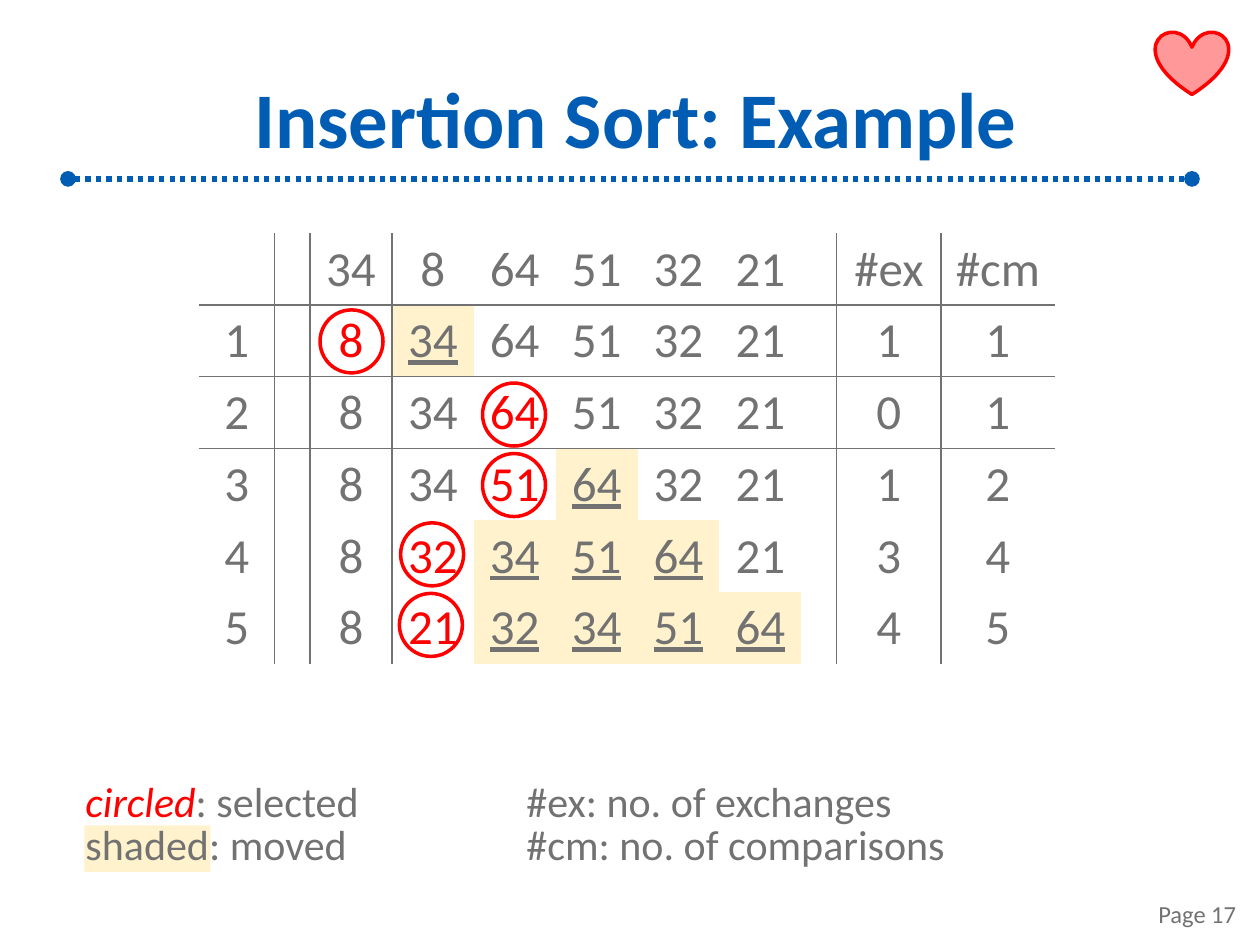
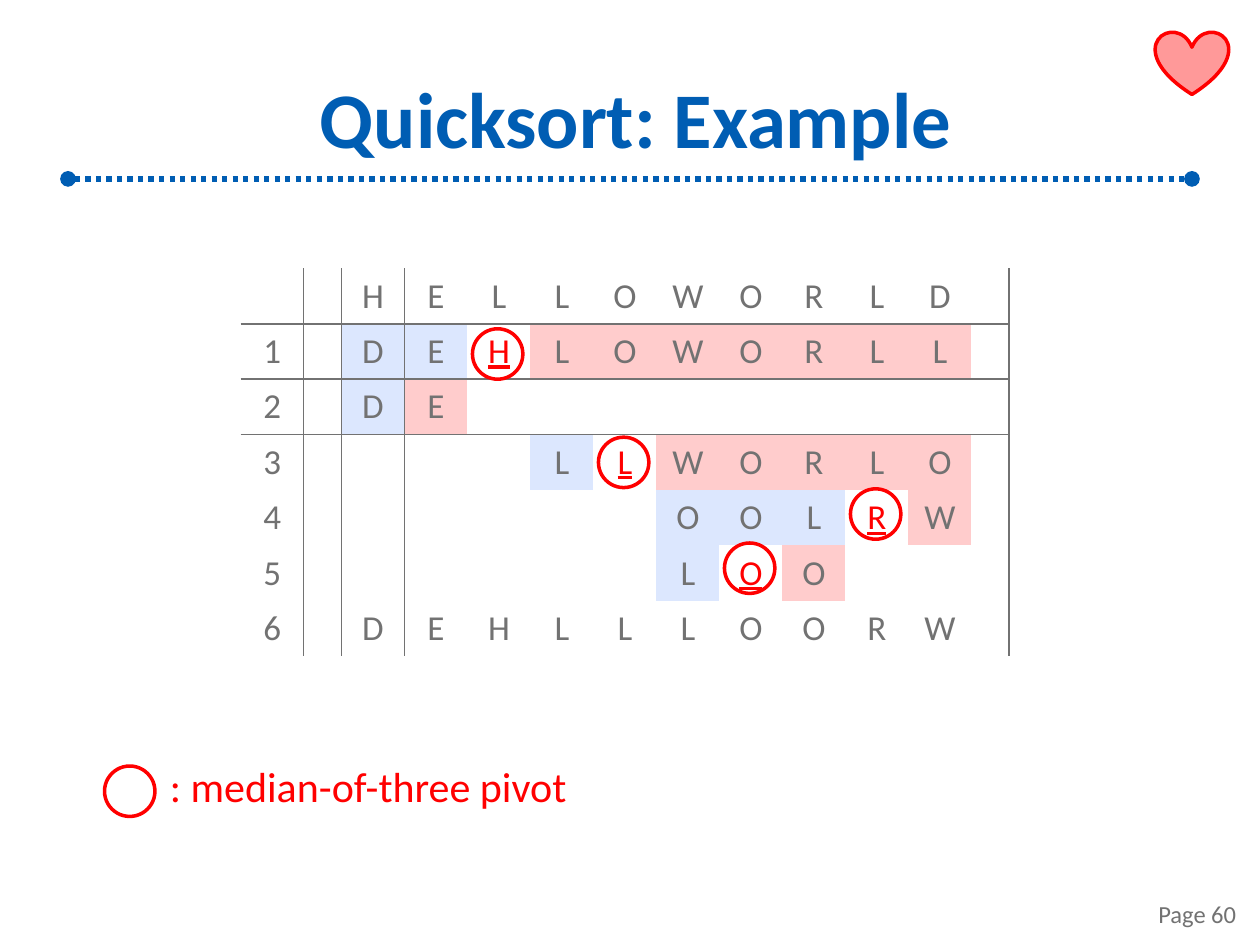
from lxml import etree
from pptx import Presentation
from pptx.dml.color import RGBColor
from pptx.enum.dml import MSO_LINE
from pptx.enum.shapes import MSO_CONNECTOR, MSO_SHAPE
from pptx.enum.text import MSO_ANCHOR, PP_ALIGN
from pptx.oxml.ns import qn
from pptx.util import Inches, Pt

# Shared look
FONT = "Calibri"
BLUE, GRAY, RED = "005DB3", "727272", "FF0000"
HEART_PINK, CREAM, PALE_BLUE, PALE_RED = "FF9999", "FFF2CC", "DCE7FE", "FFCCCC"
NO_TABLE_STYLE = "{2D5ABB26-0587-4C30-8999-92F81FD0307C}"

LEFT, CENTER, RIGHT = PP_ALIGN.LEFT, PP_ALIGN.CENTER, PP_ALIGN.RIGHT
TOP, MIDDLE, BOTTOM = MSO_ANCHOR.TOP, MSO_ANCHOR.MIDDLE, MSO_ANCHOR.BOTTOM
DOTTED = MSO_LINE.ROUND_DOT
STRAIGHT = MSO_CONNECTOR.STRAIGHT
RECTANGLE, OVAL, HEART = MSO_SHAPE.RECTANGLE, MSO_SHAPE.OVAL, MSO_SHAPE.HEART

# Cell marks: first character of a cell -> fill, text colour, underline
INSERTION_MARKS = {"*": (None, RED, False), "+": (CREAM, GRAY, True)}
QUICKSORT_MARKS = {
    "*": (None, RED, True),
    "<": (PALE_BLUE, GRAY, False),
    ">": (PALE_RED, GRAY, False),
}
PLAIN = (None, GRAY, False)
EMPTY = "."

INSERTION_STEPS = [
    ". . 34 8 64 51 32 21 . #ex #cm",
    "1 . *8 +34 64 51 32 21 . 1 1",
    "2 . 8 34 *64 51 32 21 . 0 1",
    "3 . 8 34 *51 +64 32 21 . 1 2",
    "4 . 8 *32 +34 +51 +64 21 . 3 4",
    "5 . 8 *21 +32 +34 +51 +64 . 4 5",
]
QUICKSORT_STEPS = [
    ". . H E L L O W O R L D .",
    "1 . <D <E *H >L >O >W >O >R >L >L .",
    "2 . <D >E . . . . . . . . .",
    "3 . . . . <L *L >W >O >R >L >O .",
    "4 . . . . . . <O <O <L *R >W .",
    "5 . . . . . . <L *O >O . . .",
    "6 . D E H L L L O O R W .",
]


def color(hex_code):
    return RGBColor.from_string(hex_code)


def style_font(font, size, hex_code, bold=False, underline=False):
    font.name = FONT
    font.size = Pt(size)
    font.color.rgb = color(hex_code)
    font.bold = bold
    font.underline = underline


def add_text(slide, box, text, size, hex_code, align=LEFT, anchor=TOP,
             bold=False, wrap=True):
    shape = slide.shapes.add_textbox(*map(Inches, box))
    frame = shape.text_frame
    frame.word_wrap = wrap
    frame.vertical_anchor = anchor
    paragraph = frame.paragraphs[0]
    paragraph.text = text
    paragraph.alignment = align
    style_font(paragraph.font, size, hex_code, bold)
    return paragraph


def add_legend(slide, box, text, hex_code=GRAY):
    paragraph = add_text(slide, box, text, 24, hex_code, wrap=False)
    paragraph.line_spacing = 0.85
    return paragraph


def add_preset(slide, preset, box, fill=None, line=None):
    shape = slide.shapes.add_shape(preset, *map(Inches, box))
    shape.shadow.inherit = False
    if fill:
        shape.fill.solid()
        shape.fill.fore_color.rgb = color(fill)
    else:
        shape.fill.background()
    if line:
        shape.line.color.rgb = color(line)
        shape.line.width = Pt(2)
    else:
        shape.line.fill.background()


def add_circles(slide, positions, size):
    for left, top in positions:
        add_preset(slide, OVAL, (left, top, size, size), line=RED)


def add_title_rule(slide):
    rule = slide.shapes.add_connector(
        STRAIGHT, Inches(0.54), Inches(1.42), Inches(9.46), Inches(1.42))
    rule.line.color.rgb = color(BLUE)
    rule.line.width = Pt(3)
    rule.line.dash_style = DOTTED
    line = rule.line._get_or_add_ln()
    for end in ("a:headEnd", "a:tailEnd"):
        etree.SubElement(line, qn(end), type="oval")
    etree.SubElement(rule._element.spPr, qn("a:effectLst"))


def add_base_slide(presentation, title, page):
    slide = presentation.slides.add_slide(presentation.slide_layouts[6])
    add_title_rule(slide)
    add_text(slide, (0.67, 0.42, 8.75, 1.01), title, 45, BLUE, CENTER, MIDDLE, True)
    add_text(slide, (7.58, 6.9, 2.33, 0.52), f"Page {page}", 14, GRAY, RIGHT, BOTTOM)
    add_preset(slide, HEART, (9.17, 0.25, 0.58, 0.5), HEART_PINK, RED)
    return slide


def add_border(cell, side):
    line = etree.SubElement(cell._tc.get_or_add_tcPr(), qn(f"a:ln{side}"),
                            w=str(Pt(1)))
    fill = etree.SubElement(line, qn("a:solidFill"))
    etree.SubElement(fill, qn("a:srgbClr"), val=GRAY)


def fill_cell(cell, entry, size, marks):
    fill, text_color, underline = marks.get(entry[0], PLAIN)
    if fill:
        cell.fill.solid()
        cell.fill.fore_color.rgb = color(fill)
    else:
        cell.fill.background()
    if entry == EMPTY:
        return
    paragraph = cell.text_frame.paragraphs[0]
    paragraph.text = entry[1:] if entry[0] in marks else entry
    paragraph.alignment = CENTER
    style_font(paragraph.font, size, text_color, underline=underline)


def add_step_table(slide, left, top, widths, row_height, size, steps, marks,
                   ruled_columns, ruled_rows=(0, 1)):
    """Sorting steps with rules after the given columns and rows."""
    table = slide.shapes.add_table(
        len(steps), len(widths), Inches(left), Inches(top),
        Inches(sum(widths)), Inches(row_height * len(steps))).table
    table.first_row = table.horz_banding = False
    table._tbl.tblPr.find(qn("a:tableStyleId")).text = NO_TABLE_STYLE
    for column, width in zip(table.columns, widths):
        column.width = Inches(width)
    for row_index, step in enumerate(steps):
        table.rows[row_index].height = Inches(row_height)
        for column_index, entry in enumerate(step.split()):
            cell = table.cell(row_index, column_index)
            borders = {
                "L": column_index - 1 in ruled_columns,
                "R": column_index in ruled_columns,
                "T": row_index - 1 in ruled_rows,
                "B": row_index in ruled_rows,
            }
            for side, ruled in borders.items():
                if ruled:
                    add_border(cell, side)
            fill_cell(cell, entry, size, marks)


def build_insertion_sort(presentation):
    slide = add_base_slide(presentation, "Insertion Sort: Example", 17)
    widths = [0.6, 0.28] + [0.65] * 6 + [0.28, 0.83, 0.9]
    add_step_table(slide, 1.58, 1.85, widths, 0.57, 28, INSERTION_STEPS,
                   INSERTION_MARKS, ruled_columns=(0, 1, 8, 9))
    add_circles(slide, [(2.54, 2.46), (3.83, 3.04), (3.83, 3.6),
                        (3.18, 4.15), (3.17, 4.71)], 0.5)

    # Legend
    add_preset(slide, RECTANGLE, (0.67, 6.55, 1, 0.37), CREAM)
    paragraph = add_legend(slide, (0.58, 6.17, 2.39, 0.79), "circled")
    selected = paragraph.runs[0].font
    selected.italic = True
    selected.color.rgb = color(RED)
    paragraph.add_run().text = ": selected"
    paragraph.add_line_break()
    paragraph.add_run().text = "shaded: moved"
    add_legend(slide, (4.08, 6.17, 3.55, 0.79),
               "#ex: no. of exchanges\v#cm: no. of comparisons")


def build_quicksort(presentation):
    slide = add_base_slide(presentation, "Quicksort: Example", 60)
    widths = [0.5, 0.3] + [0.5] * 10 + [0.3]
    add_step_table(slide, 1.91, 2.13, widths, 0.44, 20, QUICKSORT_STEPS,
                   QUICKSORT_MARKS, ruled_columns=(0, 1, 12))
    add_circles(slide, [(3.75, 2.61), (4.75, 3.47), (6.75, 3.88),
                        (5.75, 4.31)], 0.4)

    # Legend
    add_circles(slide, [(0.83, 6.08)], 0.4)
    add_legend(slide, (1.25, 6.05, 3.39, 0.45), ": median-of-three pivot", RED)


def main():
    presentation = Presentation()
    presentation.slide_width = Inches(10)
    presentation.slide_height = Inches(7.5)
    build_insertion_sort(presentation)
    build_quicksort(presentation)
    presentation.save("out.pptx")


if __name__ == "__main__":
    main()
